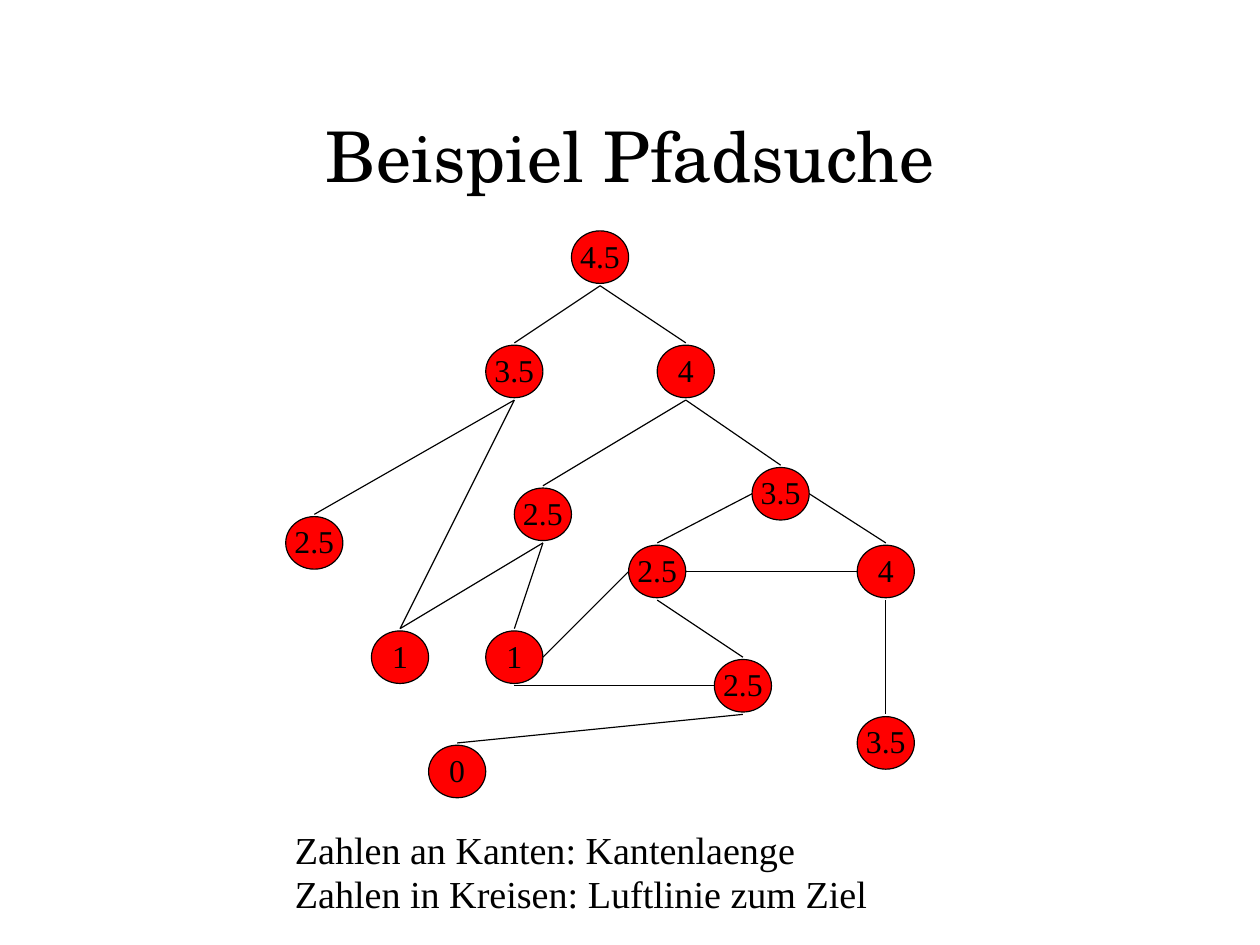
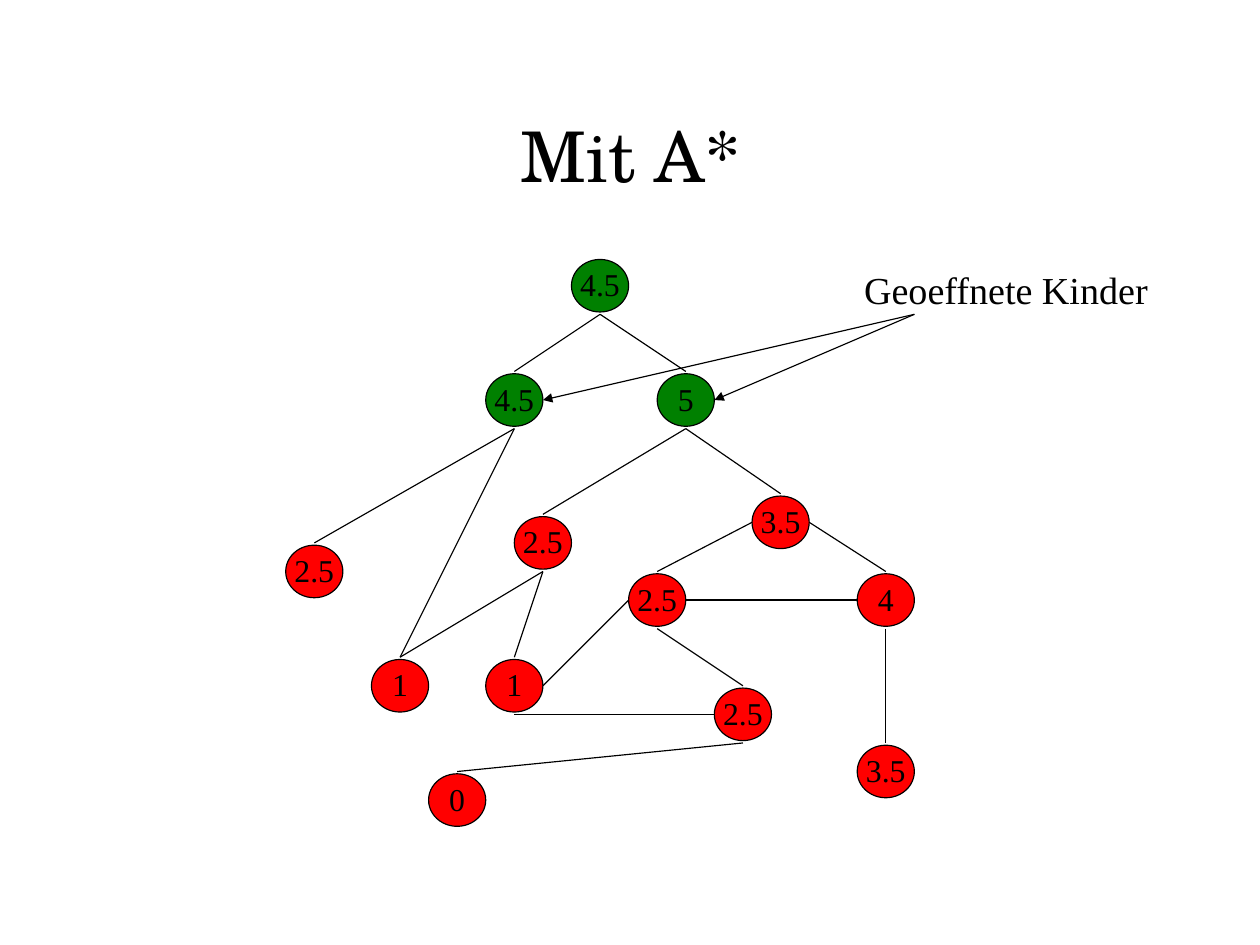
from lxml import etree
from pptx import Presentation
from pptx.dml.color import RGBColor
from pptx.enum.shapes import MSO_CONNECTOR, MSO_SHAPE
from pptx.enum.text import MSO_ANCHOR, MSO_AUTO_SIZE, PP_ALIGN
from pptx.oxml.ns import qn
from pptx.util import Inches, Pt

ELLIPSE = MSO_SHAPE.OVAL
STRAIGHT = MSO_CONNECTOR.STRAIGHT
CENTER, LEFT = PP_ALIGN.CENTER, PP_ALIGN.LEFT
MIDDLE, TOP = MSO_ANCHOR.MIDDLE, MSO_ANCHOR.TOP
FIXED, GROW = MSO_AUTO_SIZE.NONE, MSO_AUTO_SIZE.SHAPE_TO_FIT_TEXT

CM_PER_INCH = 2.54
PAGE_WIDTH, PAGE_HEIGHT = 28 / CM_PER_INCH, 21 / CM_PER_INCH

COLORS = {"ink": "000000", "waiting": "FF0000", "opened": "008000"}

TITLE = {"font": "TeX Gyre Schola", "size": 44, "align": CENTER,
         "frame": {"vertical_anchor": MIDDLE, "word_wrap": True, "auto_size": FIXED}}
NOTE = {"font": "Times New Roman", "size": 24, "align": LEFT,
        "frame": {"vertical_anchor": TOP, "word_wrap": False, "auto_size": GROW}}
NODE = {"font": "Times New Roman", "size": 20, "align": CENTER,
        "frame": {"vertical_anchor": MIDDLE, "word_wrap": False, "auto_size": FIXED}}
MARGINS = ("margin_left", "margin_top", "margin_right", "margin_bottom")

NODE_WIDTH, NODE_HEIGHT = 0.5, 0.46
LINE_WIDTH = 0.75
REACH = 0.25
SIDES = {"top": (0, -REACH), "left": (-REACH, 0),
         "bottom": (0, REACH), "right": (REACH, 0)}

NODES = {
    "start": (5.25, 0, "4.5"),
    "middle": (5.75, 2.75, "2.5"),
    "dead end": (7.75, 4.25, "3.5"),
    "fork": (6.83, 2.07, "3.5"),
    "goal": (4, 4.5, "0"),
    "near goal": (4.5, 3.5, "1"),
    "far right": (7.75, 2.75, "4"),
    "last step": (6.5, 3.75, "2.5"),
    "lower left": (3.5, 3.5, "1"),
    "inner left": (4.75, 2.25, "2.5"),
    "far left": (2.75, 2.5, "2.5"),
    "right child": (6, 1, "4"),
    "left child": (4.5, 1, "3.5"),
}
EDGES = [
    ("start", "bottom", "left child", "top"),
    ("start", "bottom", "right child", "top"),
    ("left child", "bottom", "far left", "top"),
    ("left child", "bottom", "lower left", "top"),
    ("lower left", "top", "inner left", "bottom"),
    ("inner left", "bottom", "near goal", "top"),
    ("near goal", "bottom", "last step", "left"),
    ("last step", "bottom", "goal", "top"),
    ("right child", "bottom", "fork", "top"),
    ("right child", "bottom", "inner left", "top"),
    ("fork", "right", "far right", "top"),
    ("far right", "left", "middle", "right"),
    ("middle", "left", "near goal", "right"),
    ("fork", "left", "middle", "top"),
    ("far right", "bottom", "dead end", "top"),
    ("middle", "bottom", "last step", "top"),
]
OPENED = {"start": "4.5", "right child": "5", "left child": "4.5"}


def color(name):
    return RGBColor.from_string(COLORS[name])


def write(shape, lines, style):
    frame = shape.text_frame
    for name, value in style["frame"].items():
        setattr(frame, name, value)
    for name in MARGINS:
        setattr(frame, name, 0)
    for index, line in enumerate(lines):
        para = frame.add_paragraph() if index else frame.paragraphs[0]
        para.alignment = style["align"]
        para.line_spacing = 0.97
        span = para.add_run()
        span.text = line
        span.font.name = style["font"]
        span.font.size = Pt(style["size"])
        span.font.color.rgb = color("ink")


def add_text(page, area, lines, style):
    box = page.shapes.add_textbox(*map(Inches, area))
    write(box, lines, style)


def add_node(page, x, y, label, fill):
    area = (x - NODE_WIDTH / 2, y - NODE_HEIGHT / 2, NODE_WIDTH, NODE_HEIGHT)
    node = page.shapes.add_shape(ELLIPSE, *map(Inches, area))
    node.shadow.inherit = False
    node.fill.solid()
    node.fill.fore_color.rgb = color(fill)
    node.line.color.rgb = color("ink")
    node.line.width = Pt(LINE_WIDTH)
    write(node, [label], NODE)


def add_line(page, start, end, arrow=False):
    line = page.shapes.add_connector(STRAIGHT, *map(Inches, (*start, *end)))
    line.line.color.rgb = color("ink")
    line.line.width = Pt(LINE_WIDTH)
    properties = line._element.spPr
    if arrow:
        etree.SubElement(properties.find(qn("a:ln")), qn("a:tailEnd"), type="triangle")
    etree.SubElement(properties, qn("a:effectLst"))


def anchor(name, side, top):
    x, y, _ = NODES[name]
    dx, dy = SIDES[side]
    return x + dx, top + y + dy


def add_graph(page, top, opened):
    for name, (x, y, label) in NODES.items():
        fill = "opened" if name in opened else "waiting"
        add_node(page, x, top + y, opened.get(name, label), fill)
    for first, first_side, second, second_side in EDGES:
        add_line(page, anchor(first, first_side, top), anchor(second, second_side, top))


def add_page(deck, title, graph_top, opened):
    page = deck.slides.add_slide(deck.slide_layouts[6])
    add_text(page, (0.81, 0.69, 9.41, 1.38), [title], TITLE)
    add_graph(page, graph_top, opened)
    return page


def main():
    deck = Presentation()
    deck.slide_width, deck.slide_height = Inches(PAGE_WIDTH), Inches(PAGE_HEIGHT)

    page = add_page(deck, "Beispiel Pfadsuche", 2.25, {})
    add_text(page, (2.58, 7.25, 5.01, 0.78),
             ["Zahlen an Kanten: Kantenlaenge", "Zahlen in Kreisen: Luftlinie zum Ziel"], NOTE)

    page = add_page(deck, "Mit A*", 2.5, OPENED)
    for child in ("right child", "left child"):
        add_line(page, (8, 2.75), anchor(child, "right", 2.5), arrow=True)
    add_text(page, (7.56, 2.35, 2.49, 0.39), ["Geoeffnete Kinder"], NOTE)

    deck.save("out.pptx")


if __name__ == "__main__":
    main()
